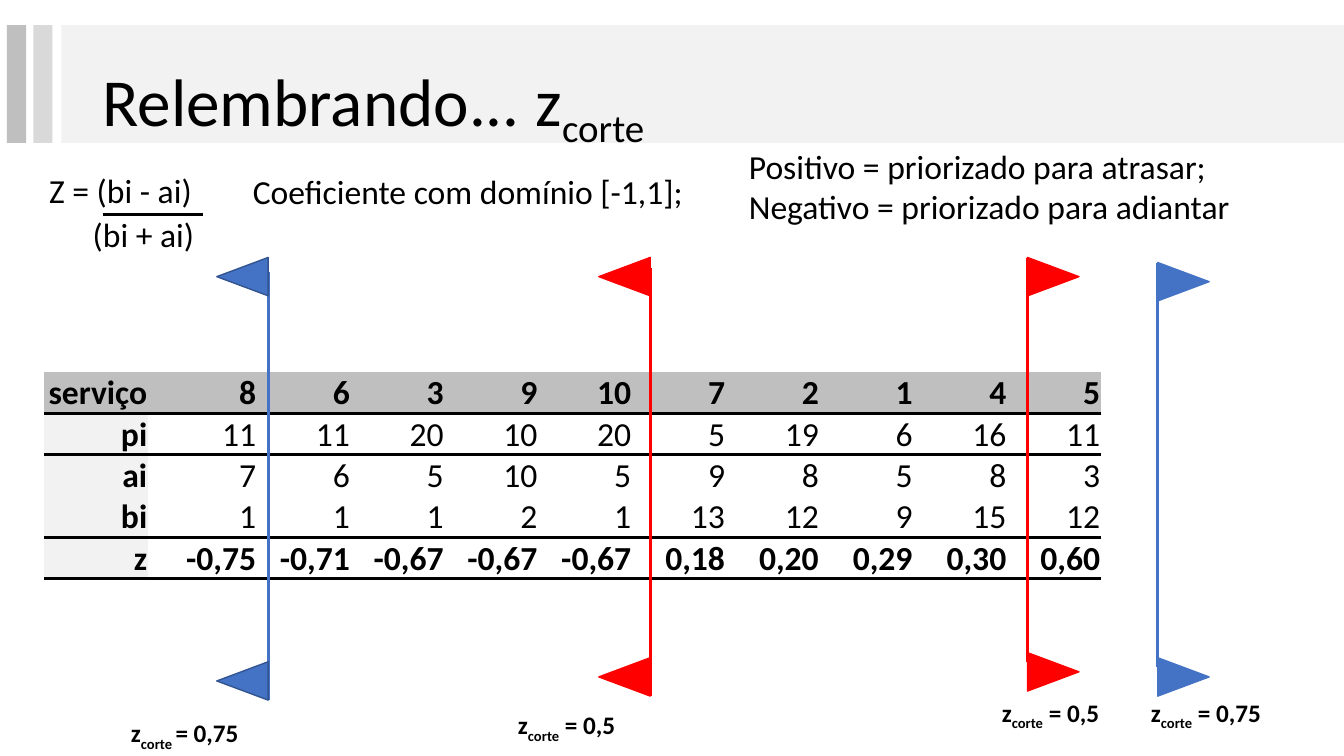
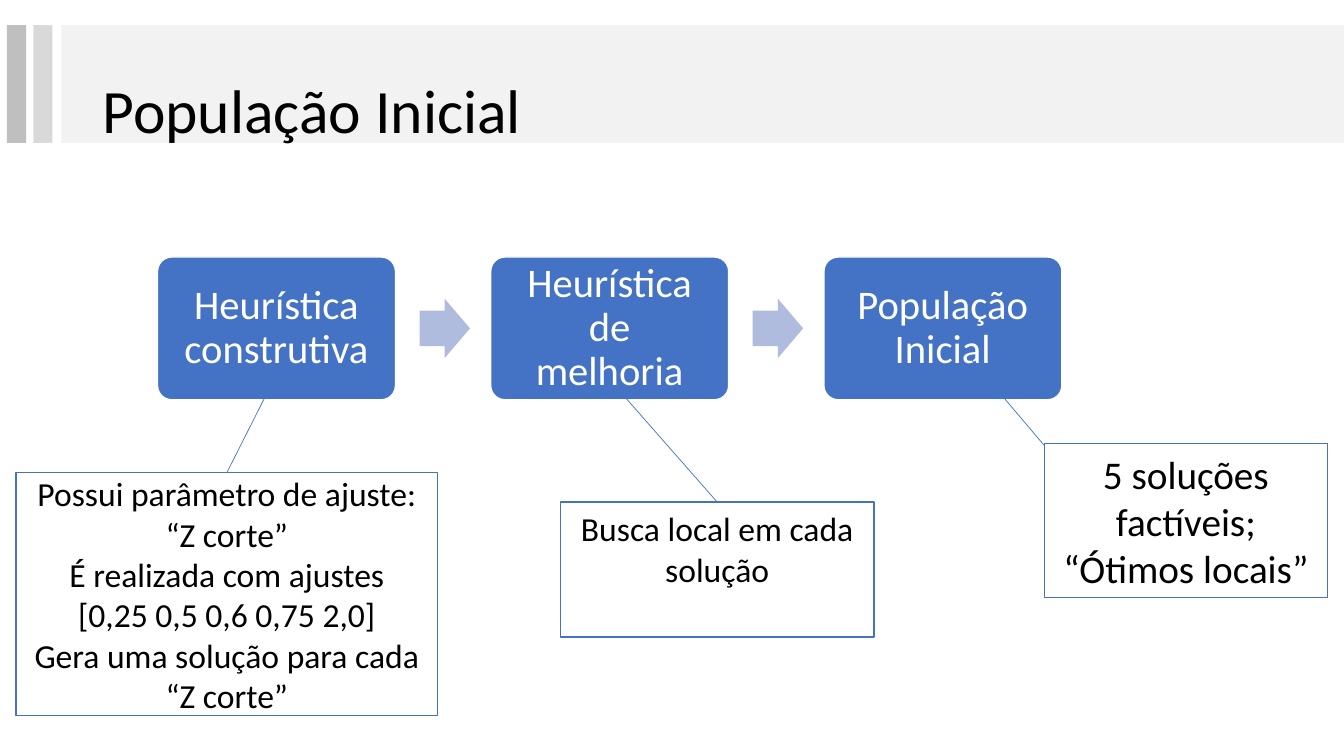
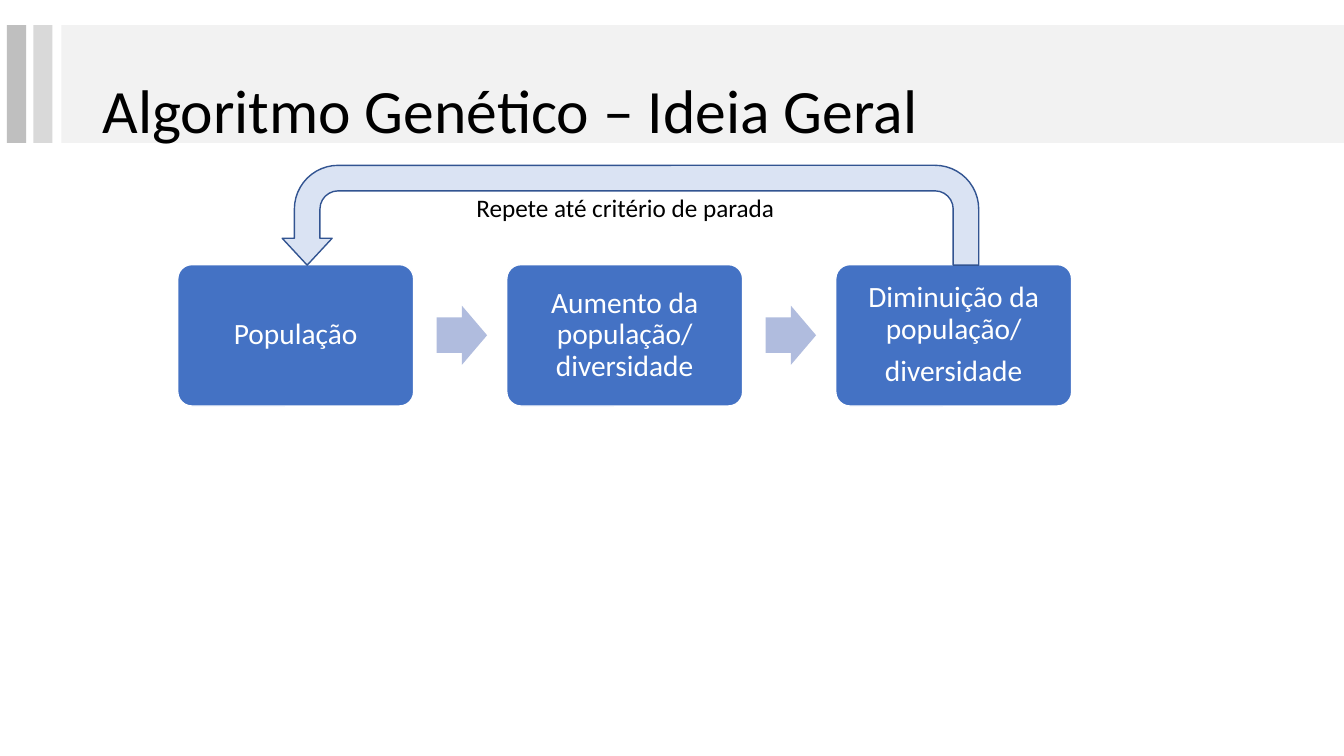
from dataclasses import dataclass

from lxml.etree import SubElement
from pptx import Presentation
from pptx.dml.color import RGBColor
from pptx.enum.shapes import MSO_CONNECTOR, MSO_SHAPE
from pptx.enum.text import MSO_ANCHOR, MSO_AUTO_SIZE, PP_ALIGN
from pptx.oxml.ns import qn
from pptx.util import Pt

FONT = "Calibri"
COLORS = {
    "black": "000000",
    "white": "FFFFFF",
    "band": "F2F2F2",
    "bar_light": "D9D9D9",
    "bar_dark": "BFBFBF",
    "blue": "4472C4",
    "blue_edge": "325491",
    "red": "FF0000",
    "arrow": "B0BCDE",
    "loop": "DAE3F3",
}


@dataclass(frozen=True)
class Box:
    left: float
    top: float
    width: float
    height: float

    def points(self):
        return [Pt(v) for v in (self.left, self.top, self.width, self.height)]


@dataclass(frozen=True)
class TextStyle:
    size: float = 24
    color: str = "black"
    bold: bool = False
    align: PP_ALIGN = PP_ALIGN.LEFT
    anchor: MSO_ANCHOR = MSO_ANCHOR.MIDDLE
    spacing: float = 1.0
    space_before: float = 0
    inset_x: float = 7.2
    inset_y: float = 3.6
    wrap: bool = True


@dataclass(frozen=True)
class Flag:
    pole_x: float
    pole_top: float
    pole_bottom: float
    pennant_ys: tuple
    side: int  # -1 points left, 1 points right
    color: str
    edge: str
    label: str
    label_box: Box


@dataclass(frozen=True)
class Flow:
    first: Box
    step: float
    size: float
    inset: float
    steps: tuple


@dataclass(frozen=True)
class Note:
    box: Box
    lines: tuple
    leader_start: tuple
    leader_end: tuple | None = None  # None joins the middle of the top side
    size: float = 24
    anchor: MSO_ANCHOR = MSO_ANCHOR.MIDDLE
    inset_y: float = 3.6


def rgb(name: str) -> RGBColor:
    return RGBColor.from_string(COLORS[name])


# ---- Text: parts between bars are subscript ----
def write_paragraph(paragraph, text: str, style: TextStyle) -> None:
    formats = {"alignment": style.align, "line_spacing": style.spacing}
    for name, value in formats.items():
        setattr(paragraph, name, value)
    for index, part in enumerate(text.split("|")):
        run = paragraph.add_run()
        run.text = part
        font_formats = {"name": FONT, "size": Pt(style.size), "bold": style.bold}
        for name, value in font_formats.items():
            setattr(run.font, name, value)
        run.font.color.rgb = rgb(style.color)
        if index % 2:
            run.font._element.set("baseline", "-25000")


def write_text(shape, lines: tuple, style: TextStyle) -> None:
    frame = shape.text_frame
    formats = {
        "word_wrap": style.wrap,
        "vertical_anchor": style.anchor,
        "margin_left": Pt(style.inset_x),
        "margin_right": Pt(style.inset_x),
        "margin_top": Pt(style.inset_y),
        "margin_bottom": Pt(style.inset_y),
    }
    for name, value in formats.items():
        setattr(frame, name, value)
    for index, line in enumerate(lines):
        paragraph = frame.add_paragraph() if index else frame.paragraphs[0]
        write_paragraph(paragraph, line, style)
        if index and style.space_before:
            paragraph.space_before = Pt(style.space_before)


def add_text(slide, box: Box, lines: tuple, style: TextStyle):
    text_box = slide.shapes.add_textbox(*box.points())
    write_text(text_box, lines, style)
    return text_box


# ---- Shapes and lines ----
def add_shape(slide, kind, box: Box, fill: str, edge: str = "", adjustments=()):
    shape = slide.shapes.add_shape(kind, *box.points())
    shape.shadow.inherit = False
    shape.fill.solid()
    shape.fill.fore_color.rgb = rgb(fill)
    if edge:
        shape.line.color.rgb = rgb(edge)
        shape.line.width = Pt(1)
    else:
        shape.line.fill.background()
    for index, value in enumerate(adjustments):
        shape.adjustments[index] = value
    return shape


def add_line(slide, start: tuple, end: tuple, color: str, width: float):
    line = slide.shapes.add_connector(
        MSO_CONNECTOR.STRAIGHT, *(Pt(v) for v in (*start, *end)))
    line.line.color.rgb = rgb(color)
    line.line.width = Pt(width)
    SubElement(line._element.spPr, qn("a:effectLst"))
    return line


# ---- Shared header ----
HEADER = (
    (Box(43.9, 18, 916.1, 84.2), "band"),
    (Box(23.8, 18, 13.7, 84.2), "bar_light"),
    (Box(5, 18, 13.7, 84.2), "bar_dark"),
)


def new_slide(deck, title: str, title_top: float = 28.8, title_size: float = 44):
    slide = deck.slides.add_slide(deck.slide_layouts[6])
    for box, color in HEADER:
        add_shape(slide, MSO_SHAPE.RECTANGLE, box, color)
    add_text(slide, Box(66.2, title_top, 828, 104.4), (title,),
             TextStyle(size=title_size, spacing=0.9))
    return slide


# ---- Slide 1: services table and cut flags ----
SERVICES = (
    ("serviço", "8", "6", "3", "9", "10", "7", "2", "1", "4", "5"),
    ("pi", "11", "11", "20", "10", "20", "5", "19", "6", "16", "11"),
    ("ai", "7", "6", "5", "10", "5", "9", "8", "5", "8", "3"),
    ("bi", "1", "1", "1", "2", "1", "13", "12", "9", "15", "12"),
    ("z", "-0,75", "-0,71", "-0,67", "-0,67", "-0,67",
     "0,18", "0,20", "0,29", "0,30", "0,60"),
)
COLUMN_WIDTHS = (74.2, 77.8) + (67,) * 9
RULED_ROWS = (0, 1, 3, 4)
NO_GRID_STYLE = "{2D5ABB26-0587-4C30-8999-92F81FD0307C}"

FLAGS = (
    Flag(191.5, 194.4, 499.7, (197.6, 486.4), -1, "blue", "blue_edge",
         "z|corte |= 0,75", Box(86.4, 509, 95, 28.8)),
    Flag(464.4, 191.5, 496.8, (197.6, 483.5), -1, "red", "red",
         "z|corte| = 0,5", Box(362.9, 503.3, 87.1, 28.8)),
    Flag(734, 184.3, 473, (197.6, 479.9), 1, "red", "red",
         "z|corte| = 0,5", Box(708.5, 494.6, 87.1, 28.8)),
    Flag(827, 187.9, 476.6, (201.2, 483.5), 1, "blue", "blue",
         "z|corte| = 0,75", Box(815, 494.6, 97.2, 28.8)),
)
PENNANT_WIDTH, PENNANT_HEIGHT, PENNANT_OFFSET = 27.4, 36.7, 18.3


def add_bottom_rule(cell) -> None:
    rule = SubElement(cell._tc.get_or_add_tcPr(), qn("a:lnB"), w=str(Pt(2.25)))
    fill = SubElement(rule, qn("a:solidFill"))
    SubElement(fill, qn("a:srgbClr"), val=COLORS["black"])


def add_services_table(slide) -> None:
    box = Box(31.7, 265.7, sum(COLUMN_WIDTHS), 147)
    table = slide.shapes.add_table(
        len(SERVICES), len(COLUMN_WIDTHS), *box.points()).table
    table.first_row = table.horz_banding = False
    table._tbl.tblPr.find(qn("a:tableStyleId")).text = NO_GRID_STYLE
    for column, width in zip(table.columns, COLUMN_WIDTHS):
        column.width = Pt(width)
    cell_formats = {
        "margin_left": Pt(0.72), "margin_right": Pt(0.72),
        "margin_top": Pt(0.72), "margin_bottom": 0,
        "vertical_anchor": MSO_ANCHOR.BOTTOM,
    }
    for r, values in enumerate(SERVICES):
        for c, value in enumerate(values):
            cell = table.cell(r, c)
            for name, setting in cell_formats.items():
                setattr(cell, name, setting)
            if r in RULED_ROWS:
                add_bottom_rule(cell)
            if r == 0 or c == 0:
                cell.fill.solid()
                cell.fill.fore_color.rgb = rgb("band" if r else "bar_dark")
            else:
                cell.fill.background()
            bold = c == 0 or r in (0, len(SERVICES) - 1)
            write_paragraph(cell.text_frame.paragraphs[0], value,
                            TextStyle(bold=bold, align=PP_ALIGN.RIGHT))


def add_flag(slide, flag: Flag) -> None:
    add_line(slide, (flag.pole_x, flag.pole_bottom),
             (flag.pole_x, flag.pole_top), flag.color, 2.25)
    center_x = flag.pole_x + flag.side * PENNANT_OFFSET
    for center_y in flag.pennant_ys:
        box = Box(center_x - PENNANT_WIDTH / 2, center_y - PENNANT_HEIGHT / 2,
                  PENNANT_WIDTH, PENNANT_HEIGHT)
        pennant = add_shape(slide, MSO_SHAPE.ISOSCELES_TRIANGLE, box,
                            flag.color, flag.edge)
        pennant.rotation = flag.side * 90 % 360
    label = add_text(slide, flag.label_box, (flag.label,),
                     TextStyle(size=18, bold=True, anchor=MSO_ANCHOR.TOP, wrap=False))
    label.text_frame.auto_size = MSO_AUTO_SIZE.SHAPE_TO_FIT_TEXT


def build_cut_slide(deck) -> None:
    slide = new_slide(deck, "Relembrando... z|corte|".rstrip("|"), 20.2, 48)
    add_services_table(slide)
    for flag in FLAGS:
        add_flag(slide, flag)
    # Formula and its reading
    centered = TextStyle(align=PP_ALIGN.CENTER)
    add_text(slide, Box(0, 92.9, 172, 86.4), ("Z = (bi - ai)",), centered)
    add_text(slide, Box(16.5, 123.8, 172, 86.4), ("(bi + ai)",), centered)
    add_line(slide, (73.4, 153.4), (144.7, 153.4), "black", 2.25)
    add_text(slide, Box(173.5, 115.2, 390.2, 42.5),
             ("Coeficiente com domínio [-1,1];",), TextStyle())
    add_text(slide, Box(527.8, 111.6, 411.1, 42.5),
             ("Positivo = priorizado para atrasar;",
              "Negativo = priorizado para adiantar"), TextStyle())


# ---- Slides 2 and 3: process flows ----
INITIAL_FLOW = Flow(Box(112.5, 183.6, 170, 102), 238, 29, 11.5, (
    ("Heurística construtiva",),
    ("Heurística de melhoria",),
    ("População Inicial",),
))
GENETIC_FLOW = Flow(Box(127, 189, 168.5, 101), 235, 21, 9.7, (
    ("População",),
    ("Aumento da população/ diversidade",),
    ("Diminuição da população/", "diversidade"),
))
ARROW_WIDTH, ARROW_HEIGHT = 36, 42.3

NOTES = (
    Note(Box(745.9, 316.8, 202.3, 110.2),
         ("5 soluções factíveis;", "“Ótimos locais”"),
         (694.1, 257), (745.9, 318.2), size=28),
    Note(Box(11.5, 337.7, 301, 173.5),
         ("Possui parâmetro de ajuste: “Z corte”",
          "É realizada com ajustes",
          "[0,25 0,5 0,6 0,75 2,0]",
          "Gera uma solução para cada “Z corte”"),
         (192.2, 277.9)),
    Note(Box(400.3, 358.6, 223.9, 96.5), ("Busca local em cada solução",),
         (441.4, 277.9), anchor=MSO_ANCHOR.TOP, inset_y=4.5),
)


def add_flow(slide, flow: Flow) -> None:
    first = flow.first
    style = TextStyle(size=flow.size, color="white", align=PP_ALIGN.CENTER,
                      spacing=0.9, space_before=0.35 * flow.size,
                      inset_x=flow.inset, inset_y=flow.inset)
    for index, lines in enumerate(flow.steps):
        left = first.left + index * flow.step
        block = add_shape(slide, MSO_SHAPE.ROUNDED_RECTANGLE,
                          Box(left, first.top, first.width, first.height),
                          "blue", "white", (0.1,))
        write_text(block, lines, style)
        if index < len(flow.steps) - 1:
            arrow_left = left + (first.width + flow.step - ARROW_WIDTH) / 2 + 1.2
            arrow_top = first.top + (first.height - ARROW_HEIGHT) / 2
            add_shape(slide, MSO_SHAPE.RIGHT_ARROW,
                      Box(arrow_left, arrow_top, ARROW_WIDTH, ARROW_HEIGHT),
                      "arrow", adjustments=(0.6, 0.5))


def add_note(slide, note: Note) -> None:
    panel = add_shape(slide, MSO_SHAPE.RECTANGLE, note.box, "white", "blue")
    write_text(panel, note.lines,
               TextStyle(size=note.size, align=PP_ALIGN.CENTER,
                         anchor=note.anchor, inset_y=note.inset_y))
    top_middle = (note.box.left + note.box.width / 2, note.box.top)
    leader = add_line(slide, note.leader_start, note.leader_end or top_middle,
                      "blue", 0.5)
    if note.leader_end is None:
        leader.end_connect(panel, 0)


def build_initial_slide(deck) -> None:
    slide = new_slide(deck, "População Inicial")
    add_flow(slide, INITIAL_FLOW)
    for note in NOTES:
        add_note(slide, note)


def build_genetic_slide(deck) -> None:
    slide = new_slide(deck, "Algoritmo Genético – Ideia Geral")
    add_flow(slide, GENETIC_FLOW)
    add_text(slide, Box(303.8, 133.2, 285.8, 30.2),
             ("Repete até critério de parada",),
             TextStyle(size=18, align=PP_ALIGN.CENTER))
    # Loop back to the first step
    loop = add_shape(slide, MSO_SHAPE.U_TURN_ARROW, Box(201.6, 118.1, 497.5, 71.3),
                     "loop", "blue_edge", (0.256, 0.25, 0.269, 0.438, 1))
    loop._element.spPr.find(qn("a:xfrm")).set("flipH", "1")


def main() -> None:
    deck = Presentation()
    deck.slide_width, deck.slide_height = Pt(960), Pt(540)
    build_cut_slide(deck)
    build_initial_slide(deck)
    build_genetic_slide(deck)
    deck.save("out.pptx")


if __name__ == "__main__":
    main()
